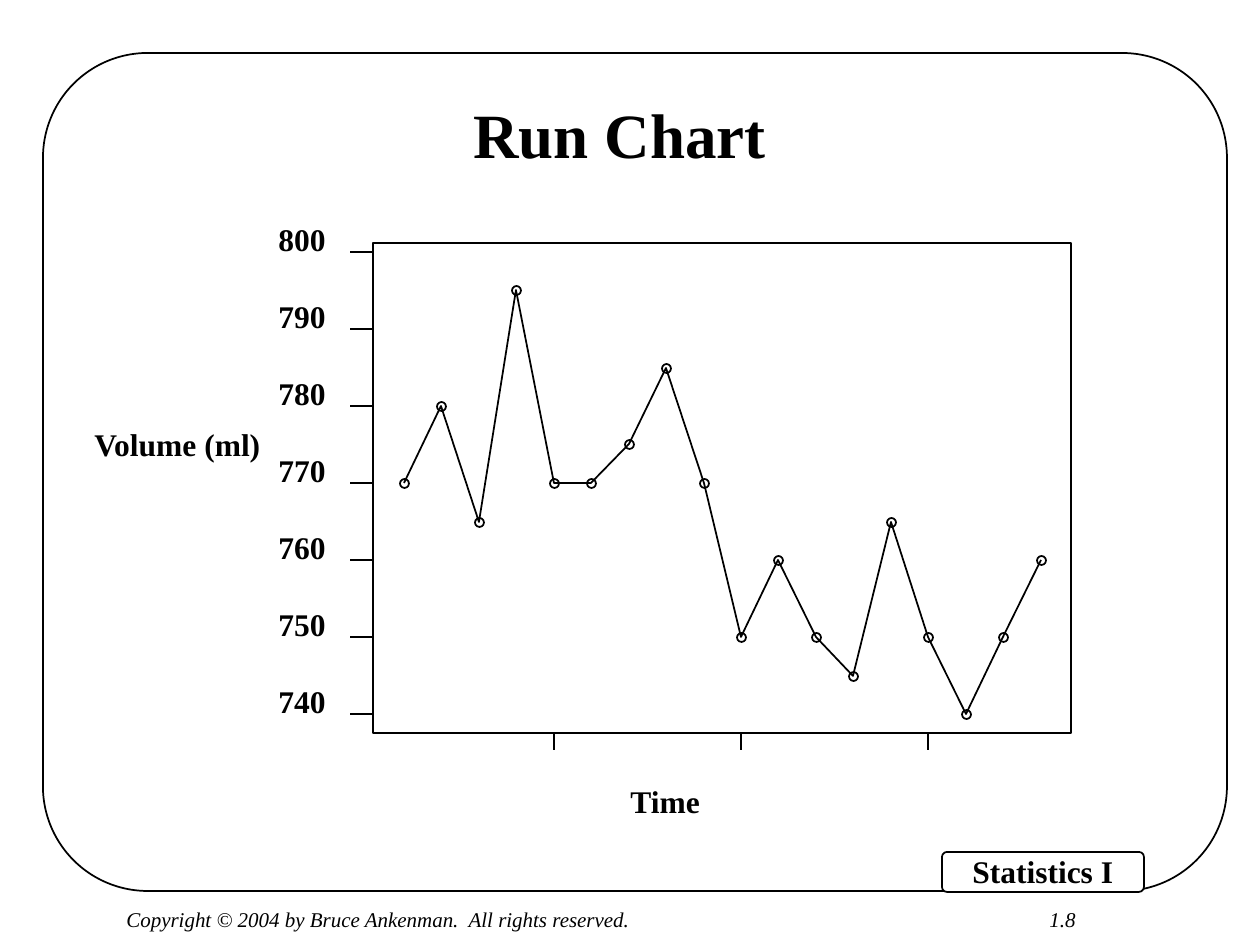
from lxml import etree
from pptx import Presentation
from pptx import util as u
from pptx.dml.color import RGBColor
from pptx.enum import shapes, text
from pptx.oxml import ns

BLACK = RGBColor(0, 0, 0)
WHITE = RGBColor(255, 255, 255)
FONT = "Times New Roman"
PX = u.Inches(1) / 126

VOLUMES = [770, 780, 765, 795, 770, 770, 775, 785, 770,
           750, 760, 750, 745, 765, 750, 740, 750, 760]
FRAME_LEFT, FRAME_TOP, FRAME_RIGHT, FRAME_BOTTOM = 373, 243, 1071, 733
MARKER = 9


def px(n):
    return u.Emu(round(n * PX))


def x_at(i):
    return round(404 + 37.45 * i)


def y_at(volume):
    return round(252 + 7.7 * (800 - volume))


def set_line(line):
    line.color.rgb = BLACK
    line.width = u.Pt(1)


def style_shape(s, fill=None):
    s.shadow.inherit = False
    if fill is None:
        s.fill.background()
    else:
        s.fill.solid()
        s.fill.fore_color.rgb = fill
    set_line(s.line)


def add_outline(slide, kind, left, top, width, height, fill=None, corner=None):
    s = slide.shapes.add_shape(kind, px(left), px(top), px(width), px(height))
    style_shape(s, fill)
    if corner is not None:
        s.adjustments[0] = corner


def add_line(slide, x1, y1, x2, y2):
    c = slide.shapes.add_connector(
        shapes.MSO_CONNECTOR.STRAIGHT, px(x1), px(y1), px(x2), px(y2))
    set_line(c.line)
    etree.SubElement(c._element.spPr, ns.qn("a:effectLst"))


def add_text(slide, words, left, top, width, height, size=18, bold=True,
             italic=False, wrap=False, align=None, spacing=None,
             anchor=text.MSO_ANCHOR.TOP):
    s = slide.shapes.add_textbox(px(left), px(top), px(width), px(height))
    tf = s.text_frame
    tf.word_wrap = wrap
    tf.vertical_anchor = anchor
    if not wrap:
        tf.auto_size = text.MSO_AUTO_SIZE.SHAPE_TO_FIT_TEXT
    p = tf.paragraphs[0]
    p.alignment = align
    p.line_spacing = spacing
    r = p.add_run()
    r.text = words
    r.font.name = FONT
    r.font.size = u.Pt(size)
    r.font.bold = bold
    r.font.italic = italic
    r.font.color.rgb = BLACK


def add_page_frame(slide):
    rounded = shapes.MSO_SHAPE.ROUNDED_RECTANGLE
    add_outline(slide, rounded, 43, 53, 1184, 838, WHITE, 0.125)
    add_outline(slide, rounded, 942, 852, 202, 40, WHITE, 0.125)
    add_text(slide, "Statistics I", 960, 846, 167, 50)
    add_text(slide, "Copyright © 2004 by Bruce Ankenman.  All rights reserved.",
             114, 900, 532, 38, size=12, bold=False, italic=True)
    add_text(slide, "1.8", 1037, 900, 67, 38, size=12, bold=False, italic=True)


def add_axes(slide):
    add_outline(slide, shapes.MSO_SHAPE.RECTANGLE, FRAME_LEFT, FRAME_TOP,
                FRAME_RIGHT - FRAME_LEFT, FRAME_BOTTOM - FRAME_TOP)
    for volume in range(800, 730, -10):
        y = y_at(volume)
        add_text(slide, str(volume), 266, y - 38, 76, 50)
        add_line(slide, FRAME_LEFT, y, 350, y)
    for i in (4, 9, 14):
        add_line(slide, x_at(i), FRAME_BOTTOM, x_at(i), 750)
    add_line(slide, 386, FRAME_BOTTOM, 1059, FRAME_BOTTOM)
    add_line(slide, FRAME_LEFT, 726, FRAME_LEFT, 251)
    add_text(slide, "Volume (ml)", 82, 419, 194, 50)
    add_text(slide, "Time", 618, 776, 95, 50)


def add_run_line(slide):
    points = [(x_at(i), y_at(v)) for i, v in enumerate(VOLUMES)]
    for x, y in points:
        add_outline(slide, shapes.MSO_SHAPE.OVAL, x - 4, y - 4, MARKER, MARKER)
    builder = slide.shapes.build_freeform(*points[0], scale=PX)
    builder.add_line_segments(points[1:], close=False)
    style_shape(builder.convert_to_shape())


def main():
    prs = Presentation()
    prs.slide_width, prs.slide_height = px(1260), px(945)
    slide = prs.slides.add_slide(prs.slide_layouts[6])
    add_page_frame(slide)
    add_text(slide, "Run Chart", 126, 84, 987, 94, size=36, wrap=True,
             align=text.PP_ALIGN.CENTER, spacing=0.9,
             anchor=text.MSO_ANCHOR.BOTTOM)
    add_axes(slide)
    add_run_line(slide)
    prs.save("out.pptx")


if __name__ == "__main__":
    main()
